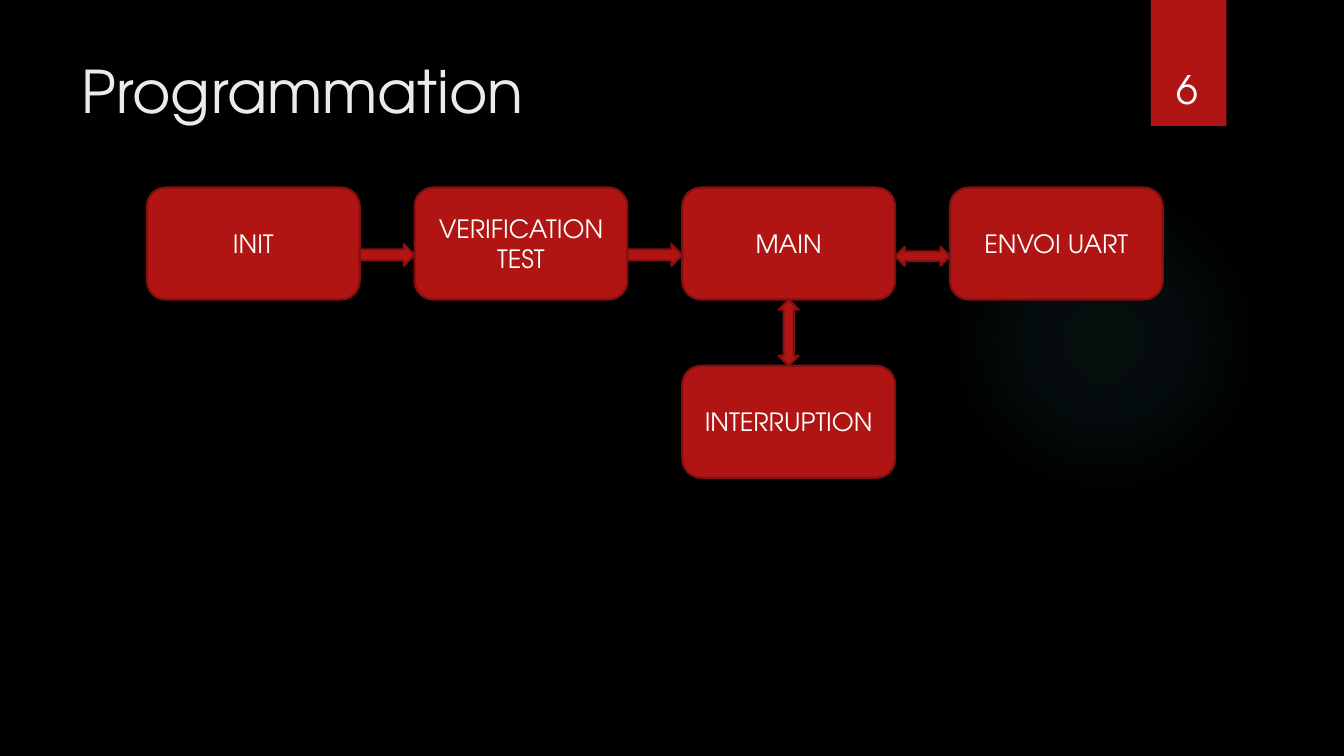
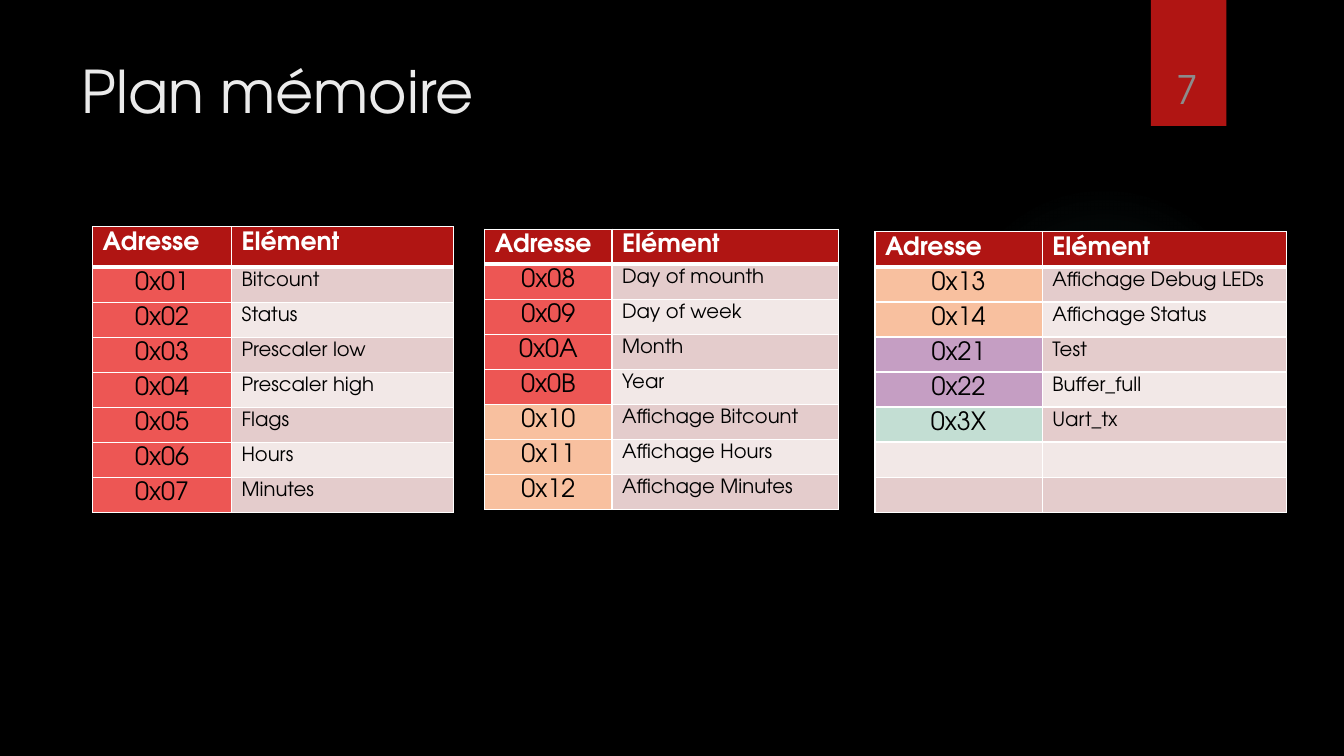
from lxml import etree
from pptx import Presentation
from pptx.dml.color import RGBColor
from pptx.enum.shapes import MSO_SHAPE as Kind
from pptx.enum.text import MSO_ANCHOR as Anchor, PP_ALIGN as Align
from pptx.oxml import parse_xml
from pptx.oxml.ns import nsdecls
from pptx.util import Pt

FONT = "TeX Gyre Adventor"
RED, EDGE, WHITE, BLACK = "B01513", "82100E", "FFFFFF", "000000"
TITLE, GREY, TEAL = "EBEBEB", "8C8C8C", "50B9C1"
BANDS = ("E4CCCC", "F2E8E7")
CORAL, PEACH, MAUVE, MINT = "ED5654", "F8C09F", "C59EC3", "C3DED3"
GLOW = ((0, 7), (36, 6), (69, 0))

BOX_W, BOX_H, BOX_X, BOX_Y = 152, 80, 105, 134
STEP_X, STEP_Y = 191.2, 127.3
STEPS = [
    ("INIT", 0, 0),
    ("VERIFICATION\vTEST", 1, 0),
    ("MAIN", 2, 0),
    ("INTERRUPTION", 2, 1),
    ("ENVOI UART", 3, 0),
]

HEAD = ("Adresse", "Elément")
ROW, PAD = 25.05, 3.4
TABLES = [
    dict(left=66.2, top=162, cols=(99.2, 158.6), head=28.8, rows=[
        ("0x01", "Bitcount", CORAL),
        ("0x02", "Status", CORAL),
        ("0x03", "Prescaler low", CORAL),
        ("0x04", "Prescaler high", CORAL),
        ("0x05", "Flags", CORAL),
        ("0x06", "Hours", CORAL),
        ("0x07", "Minutes", CORAL),
    ]),
    dict(left=346.3, top=163.7, cols=(90.8, 162), head=ROW, rows=[
        ("0x08", "Day of mounth", CORAL),
        ("0x09", "Day of week", CORAL),
        ("0x0A", "Month", CORAL),
        ("0x0B", "Year", CORAL),
        ("0x10", "Affichage Bitcount", PEACH),
        ("0x11", "Affichage Hours", PEACH),
        ("0x12", "Affichage Minutes", PEACH),
    ]),
    dict(left=625, top=165.6, cols=(119.5, 174.2), head=ROW, rows=[
        ("0x13", "Affichage Debug LEDs", PEACH),
        ("0x14", "Affichage Status", PEACH),
        ("0x21", "Test", MAUVE),
        ("0x22", "Buffer_full", MAUVE),
        ("0x3X", "Uart_tx", MINT),
        ("", "", None),
        ("", "", None),
    ]),
]


def rgb(code):
    return RGBColor.from_string(code)


def paint(fill, code):
    fill.solid()
    fill.fore_color.rgb = rgb(code)


def write(frame, text, size=18, color=WHITE, bold=False, align=Align.LEFT,
          anchor=None):
    frame.text = text
    frame.word_wrap = True
    if anchor is not None:
        frame.vertical_anchor = anchor
    for para in frame.paragraphs:
        para.alignment = align
        for run in para.runs:
            font = run.font
            font.name, font.size, font.bold = FONT, Pt(size), bold
            font.color.rgb = rgb(color)


def shape(slide, kind, left, top, width, height, fill=RED, line=None):
    item = slide.shapes.add_shape(kind, Pt(left), Pt(top), Pt(width), Pt(height))
    item.shadow.inherit = False
    paint(item.fill, fill)
    if line:
        item.line.color.rgb = rgb(line)
        item.line.width = Pt(1.5)
    else:
        item.line.fill.background()
    return item


def glow(slide):
    disc = shape(slide, Kind.OVAL, 677.5, 131.8, 221.8, 221.8)
    stops = "".join(
        f'<a:gs pos="{pos * 1000}"><a:srgbClr val="{TEAL}">'
        f'<a:alpha val="{alpha * 1000}"/></a:srgbClr></a:gs>'
        for pos, alpha in GLOW)
    grad = parse_xml(
        f'<a:gradFill {nsdecls("a")}><a:gsLst>{stops}</a:gsLst>'
        '<a:path path="circle"><a:fillToRect l="50000" t="50000" '
        'r="50000" b="50000"/></a:path></a:gradFill>')
    props = disc.element.spPr
    props.replace(props.find("{*}solidFill"), grad)


def page(deck, title, number, color):
    slide = deck.slides.add_slide(deck.slide_layouts[5])
    head = slide.shapes.title
    head.left, head.top, head.width, head.height = map(Pt, (51, 35.5, 741, 110))
    write(head.text_frame, title, size=42, color=TITLE, anchor=Anchor.TOP)
    glow(slide)
    shape(slide, Kind.RECTANGLE, 822, 0, 54, 90)
    box = slide.shapes.add_textbox(Pt(815), Pt(23), Pt(66), Pt(60.5))
    write(box.text_frame, number, size=28, color=color, align=Align.CENTER,
          anchor=Anchor.BOTTOM)
    return slide


def flow(slide):
    for text, col, row in STEPS:
        box = shape(slide, Kind.ROUNDED_RECTANGLE, BOX_X + col * STEP_X,
                    BOX_Y + row * STEP_Y, BOX_W, BOX_H, line=EDGE)
        write(box.text_frame, text, align=Align.CENTER, anchor=Anchor.MIDDLE)
    gap = STEP_X - BOX_W
    links = [(Kind.RIGHT_ARROW, 174.2, 15.8), (Kind.RIGHT_ARROW, 174.2, 15.8),
             (Kind.LEFT_RIGHT_ARROW, 176.2, 13.7)]
    for col, (kind, top, height) in enumerate(links):
        left = BOX_X + col * STEP_X + BOX_W
        shape(slide, kind, left, top, gap, height, line=EDGE)
    mid = BOX_X + 2 * STEP_X + BOX_W / 2
    shape(slide, Kind.UP_DOWN_ARROW, mid - 7.2, BOX_Y + BOX_H, 14.4,
          STEP_Y - BOX_H, line=EDGE)


def border(cell, row):
    props = cell._tc.get_or_add_tcPr()
    wide = {"T": 3 if row == 1 else 1, "B": 3 if row == 0 else 1}
    for spot, side in enumerate("LRTB"):
        line = parse_xml(
            f'<a:ln{side} {nsdecls("a")} w="{Pt(wide.get(side, 1))}"/>')
        fill = etree.SubElement(line, line.tag.replace(f"ln{side}", "solidFill"))
        etree.SubElement(fill, fill.tag.replace("solidFill", "srgbClr"), val=WHITE)
        props.insert(spot, line)


def fill_cell(cell, row, text, fill, **form):
    cell.margin_top, cell.margin_bottom = Pt(PAD), 0
    cell.margin_left = cell.margin_right = Pt(7.2)
    write(cell.text_frame, text, **form)
    paint(cell.fill, fill)
    border(cell, row)


def grid(slide, left, top, cols, head, rows):
    high = head + ROW * len(rows)
    table = slide.shapes.add_table(len(rows) + 1, len(cols), Pt(left), Pt(top),
                                   Pt(sum(cols)), Pt(high)).table
    for col, width in zip(table.columns, cols):
        col.width = Pt(width)
    for row, line in enumerate(table.rows):
        line.height = Pt(ROW if row else head)
    for col, text in enumerate(HEAD):
        fill_cell(table.cell(0, col), 0, text, RED, bold=True)
    for row, (code, name, tint) in enumerate(rows, 1):
        band = BANDS[(row - 1) % 2]
        fill_cell(table.cell(row, 0), row, code, tint or band, color=BLACK,
                  align=Align.CENTER)
        fill_cell(table.cell(row, 1), row, name, band, size=14, color=BLACK)


def main():
    deck = Presentation()
    deck.slide_width, deck.slide_height = Pt(960), Pt(540)
    paint(deck.slide_master.background.fill, BLACK)
    flow(page(deck, "Programmation", "6", WHITE))
    memory = page(deck, "Plan mémoire", "7", GREY)
    for table in TABLES:
        grid(memory, **table)
    deck.save("out.pptx")


if __name__ == "__main__":
    main()
